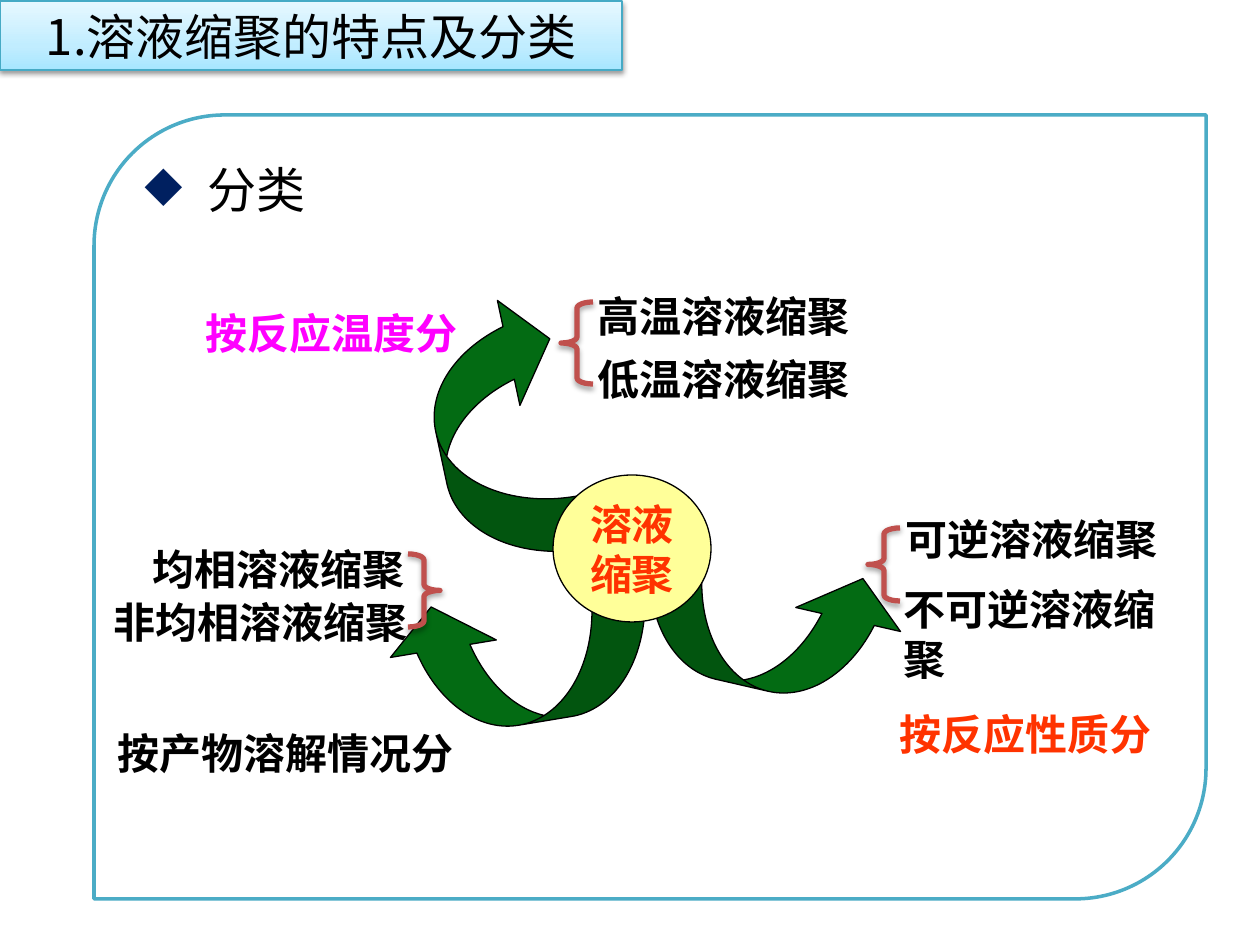
from dataclasses import dataclass

from lxml import etree
from pptx import Presentation
from pptx.dml.color import RGBColor
from pptx.enum.shapes import MSO_SHAPE
from pptx.enum.text import MSO_ANCHOR, MSO_AUTO_SIZE, PP_ALIGN
from pptx.oxml.ns import qn
from pptx.util import Emu, Pt

FRAME, ARROW = MSO_SHAPE.ROUND_2_DIAG_RECTANGLE, MSO_SHAPE.CURVED_UP_ARROW
BRACE, OVAL = MSO_SHAPE.LEFT_BRACE, MSO_SHAPE.OVAL
LEFT, CENTER = PP_ALIGN.LEFT, PP_ALIGN.CENTER
TOP, MIDDLE = MSO_ANCHOR.TOP, MSO_ANCHOR.MIDDLE
FIXED, GROW = MSO_AUTO_SIZE.NONE, MSO_AUTO_SIZE.SHAPE_TO_FIT_TEXT

EMU_PER_PX = 914400 / 126
CJK_FONT, LATIN_FONT = "Noto Sans CJK SC", "Times New Roman"
COLORS = {
    "black": "000000", "magenta": "FF00FF", "orange": "FF3300",
    "green": "036B13", "yellow": "FFFF99", "red": "C0504D",
    "teal": "4BACC6", "title_line": "46AAC5", "bullet": "002060",
}
TITLE_STOPS = ((0, "A7E6FF"), (35, "C1EDFF"), (100, "E7F8FF"))
HEADING = {"size": Pt(28), "name": CJK_FONT, "bold": False}
LABEL = {"size": Pt(24), "name": LATIN_FONT, "bold": True}


@dataclass
class Box:
    x: int
    y: int
    w: int
    h: int


@dataclass
class Arrow:
    box: Box
    rotation: float
    flip: str = ""


@dataclass
class Brace:
    box: Box
    flip: str = ""


@dataclass
class Label:
    text: str
    box: Box
    color: str = "black"


ARROWS = [
    Arrow(Box(387, 593, 268, 131), 170.6, "flipV"),
    Arrow(Box(369, 365, 267, 131), 257.9, "flipV"),
    Arrow(Box(636, 559, 268, 131), 12.9),
]
BRACES = [
    Brace(Box(561, 302, 32, 82)),
    Brace(Box(868, 528, 32, 73)),
    Brace(Box(408, 554, 32, 73), "flipH"),
]
LABELS = [
    Label("按反应温度分", Box(193, 301, 289, 64), "magenta"),
    Label("高温溶液缩聚", Box(585, 284, 363, 64)),
    Label("低温溶液缩聚", Box(585, 347, 431, 64)),
    Label("按反应性质分", Box(887, 702, 318, 64), "orange"),
    Label("按产物溶解情况分", Box(105, 721, 388, 64)),
    Label("可逆溶液缩聚", Box(893, 507, 284, 64)),
    Label("不可逆溶液缩聚", Box(891, 577, 314, 115)),
    Label("均相溶液缩聚", Box(140, 537, 294, 64)),
    Label("非均相溶液缩聚", Box(101, 590, 326, 64)),
]


def px(n: int) -> Emu:
    return Emu(round(n * EMU_PER_PX))


def rgb(name: str) -> RGBColor:
    return RGBColor.from_string(COLORS[name])


def bounds(box: Box) -> list[Emu]:
    return [px(n) for n in (box.x, box.y, box.w, box.h)]


def add_el(parent, tag: str, **attrs):
    return etree.SubElement(parent, qn(tag), {k: str(v) for k, v in attrs.items()})


def set_line(sp, color: str, width: float) -> None:
    sp.line.color.rgb = rgb(color)
    sp.line.width = Pt(width)


def set_shadow(sp, opacity: int, blur: float, distance: float) -> None:
    sp.shadow.inherit = False
    effects = sp._element.spPr.find(qn("a:effectLst"))
    shadow = add_el(effects, "a:outerShdw", blurRad=Pt(blur), dist=Pt(distance),
                    dir=90 * 60000, rotWithShape=0)
    color = add_el(shadow, "a:srgbClr", val=COLORS["black"])
    add_el(color, "a:alpha", val=opacity * 1000)


def write(sp, lines: list[str], fmt: dict, color: str, align=LEFT,
          anchor=TOP, wrap: bool = True, fit=FIXED) -> None:
    tf = sp.text_frame
    frame_format = {"word_wrap": wrap, "auto_size": fit, "vertical_anchor": anchor}
    for key, value in frame_format.items():
        setattr(tf, key, value)
    for i, line in enumerate(lines):
        p = tf.paragraphs[0] if i == 0 else tf.add_paragraph()
        p.alignment = align
        r = p.add_run()
        r.text = line
        for key, value in fmt.items():
            setattr(r.font, key, value)
        r.font.color.rgb = rgb(color)
        add_el(r._r.get_or_add_rPr(), "a:ea", typeface=CJK_FONT)


def add_preset(s, preset, box: Box, fill: str, line: str, width: float, flip: str = ""):
    """Add a preset shape without shadow; an empty fill name leaves it hollow."""
    sp = s.shapes.add_shape(preset, *bounds(box))
    sp.shadow.inherit = False
    if fill:
        sp.fill.solid()
        sp.fill.fore_color.rgb = rgb(fill)
    else:
        sp.fill.background()
    set_line(sp, line, width)
    if flip:
        sp._element.spPr.find(qn("a:xfrm")).set(flip, "1")
    return sp


def format_title(title) -> None:
    """Turn the title placeholder into a banner with a gradient."""
    title.left, title.top, title.width, title.height = bounds(Box(0, 1, 622, 69))
    spPr = title._element.spPr
    geometry = add_el(spPr, "a:prstGeom", prst="round2DiagRect")
    add_el(geometry, "a:avLst")
    gradient = add_el(spPr, "a:gradFill", rotWithShape=1)
    stops = add_el(gradient, "a:gsLst")
    for position, color in TITLE_STOPS:
        stop = add_el(stops, "a:gs", pos=position * 1000)
        add_el(stop, "a:srgbClr", val=color)
    add_el(gradient, "a:lin", ang=270 * 60000, scaled=0)
    set_line(title, "title_line", 0.75)
    set_shadow(title, 38, 3.1, 1.6)
    write(title, ["1.溶液缩聚的特点及分类"], HEADING, "black", CENTER, MIDDLE)


def add_frame(s) -> None:
    frame = add_preset(s, FRAME, Box(94, 115, 1112, 784), "", "teal", 2)
    write(frame, ["分类"], HEADING, "black")
    pPr = frame.text_frame.paragraphs[0]._p.get_or_add_pPr()
    indent = px(63)
    pPr.set("marL", str(indent))
    pPr.set("indent", str(-indent))
    add_el(add_el(pPr, "a:buClr"), "a:srgbClr", val=COLORS["bullet"])
    add_el(pPr, "a:buChar", char="◆")


def add_arrow(s, arrow: Arrow) -> None:
    sp = add_preset(s, ARROW, arrow.box, "green", "black", 0.75, arrow.flip)
    sp.rotation = arrow.rotation
    for i, value in enumerate((0.41, 0.82, 0.33)):
        sp.adjustments[i] = value


def add_brace(s, brace: Brace) -> None:
    sp = add_preset(s, BRACE, brace.box, "", "red", 3, brace.flip)
    sp.adjustments[0] = 0.19
    set_shadow(sp, 35, 3.1, 1.8)


def add_label(s, label: Label) -> None:
    sp = s.shapes.add_textbox(*bounds(label.box))
    write(sp, [label.text], LABEL, label.color, fit=GROW)


def main() -> None:
    prs = Presentation()
    prs.slide_width, prs.slide_height = px(1260), px(945)
    s = prs.slides.add_slide(prs.slide_layouts[5])
    format_title(s.shapes.title)
    add_frame(s)
    for arrow in ARROWS:
        add_arrow(s, arrow)
    hub = add_preset(s, OVAL, Box(553, 475, 158, 147), "yellow", "black", 0.75)
    write(hub, ["溶液", "缩聚"], LABEL, "orange", CENTER, MIDDLE, wrap=False)
    for label in LABELS:
        add_label(s, label)
    for brace in BRACES:
        add_brace(s, brace)
    prs.save("out.pptx")


if __name__ == "__main__":
    main()
